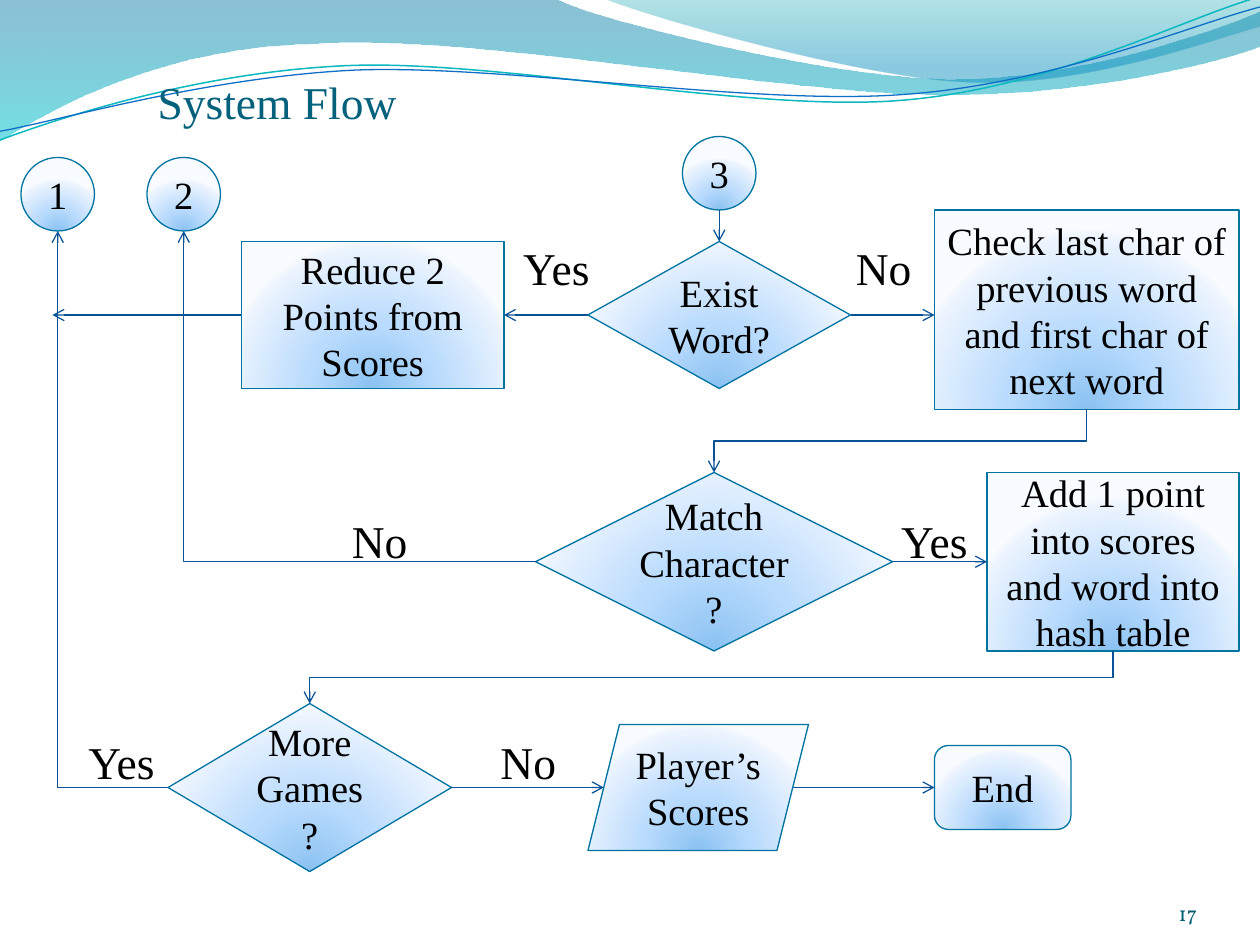
from lxml import etree
from pptx import Presentation
from pptx.dml.color import RGBColor
from pptx.enum.shapes import MSO_CONNECTOR as Connector, MSO_SHAPE as Shape
from pptx.enum.text import MSO_ANCHOR as Anchor, MSO_AUTO_SIZE as AutoSize, PP_ALIGN as Align
from pptx.oxml import parse_xml
from pptx.oxml.ns import nsdecls, qn
from pptx.util import Pt

BLACK = RGBColor(0x00, 0x00, 0x00)
TITLE_TEAL = RGBColor(0x04, 0x61, 0x7B)
NUMBER_TEAL = RGBColor(0x04, 0x5D, 0x75)
BORDER_BLUE = RGBColor(0x00, 0x74, 0xA1)
ARROW_BLUE = RGBColor(0x09, 0x52, 0x95)
WAVE_CYAN = RGBColor(0x0A, 0xB8, 0xBF)
WAVE_BLUE = RGBColor(0x0F, 0x6F, 0xC6)
SERIF = "Times New Roman"

# Gradient stops: position %, colour, opacity %
NODE_STOPS = [(0, RGBColor(0x8B, 0xC2, 0xF1), 100), (43, RGBColor(0xB9, 0xDB, 0xFD), 100),
              (93, RGBColor(0xEA, 0xF3, 0xFE), 100), (100, RGBColor(0xF8, 0xFB, 0xFF), 100)]
LEFT_STOPS = [(0, BORDER_BLUE, 45), (100, RGBColor(0x00, 0xC6, 0xCF), 55)]
RIGHT_STOPS = [(0, RGBColor(0x00, 0xA1, 0xA9), 30), (80, RGBColor(0x00, 0x8B, 0xBF), 45)]
DOWNWARD = '<a:lin ang="5400000" scaled="1"/>'
GLOW_FROM_BELOW = ('<a:path path="circle">'
                   '<a:fillToRect l="50000" t="130000" r="50000" b="-30000"/></a:path>')

# Outlines: a pair is a straight step, six numbers are a cubic curve
BANDS = [
    (LEFT_STOPS, [(0, 0), (317, -1), (343, 12, 478, 45, 546, 45), (614, 45, 690, 19, 720, 6.5),
                  (721, 26), (708, 32, 626, 55, 537, 54), (448, 54, 275, 20, 185, 24.5),
                  (93, 26, 33, 60, -1, 81)]),
    (RIGHT_STOPS, [(345, -1), (366, 8, 491, 45, 554, 47), (618, 50, 692, 23, 720, 15), (720, 0)]),
]
STRANDS = [
    (WAVE_CYAN, 0.85, [(0, 80), (35, 67, 114, 41, 199, 37.5), (284, 34, 427, 64, 513, 57.5),
                       (600, 51, 675, 11, 718.5, -1.5)]),
    (WAVE_BLUE, 0.75, [(0, 75), (34, 69, 118, 44, 204, 40), (290, 37, 430, 60.5, 516, 54),
                       (602, 48, 678, 15, 720, 4)]),
]

# Title lines: text, colour, space before, tab stops
TITLE_LINES = [
    ("\tSystem Flow", TITLE_TEAL, 0, (72,)),
    ("\tYes\tNo", BLACK, 64, (281, 471)),
    ("\tNo\tYes", BLACK, 125, (183, 497)),
    ("\tYes\tNo", BLACK, 95, (32.5, 268)),
]

# Flow steps: preset, text, (left, top, width, height)
STEPS = {
    "reduce": (Shape.RECTANGLE, "Reduce 2 Points from Scores", (138, 138, 150, 84)),
    "exist": (Shape.FLOWCHART_DECISION, "Exist Word?", (336, 138, 150, 84)),
    "check": (Shape.RECTANGLE, "Check last char of previous word and first char of next word",
              (534, 120, 174, 114)),
    "match": (Shape.FLOWCHART_DECISION, "Match Character?", (306, 270, 204, 102)),
    "add": (Shape.RECTANGLE, "Add 1 point into scores and word into hash table",
            (564, 270, 144, 102)),
    "more": (Shape.FLOWCHART_DECISION, "More Games?", (96, 402, 162, 96)),
    "scores": (Shape.PARALLELOGRAM, "Player’s Scores", (336, 414, 126, 72)),
    "end": (Shape.ROUNDED_RECTANGLE, "End", (534, 426, 78, 48)),
    "three": (Shape.FLOWCHART_CONNECTOR, "3", (390, 78, 42, 42)),
    "two": (Shape.FLOWCHART_CONNECTOR, "2", (84, 90, 42, 42)),
    "one": (Shape.FLOWCHART_CONNECTOR, "1", (12, 90, 42, 42)),
}
SLANT = 9  # how far the parallelogram's side midpoints sit inside its box

LEVEL_ARROWS = [("exist", "right", "check", "left"), ("match", "right", "add", "left"),
                ("more", "right", "scores", "left"), ("scores", "right", "end", "left"),
                ("exist", "left", "reduce", "right")]
STEPPED_ARROWS = [("check", "match"), ("add", "more")]
RETURN_ARROWS = [("match", "two"), ("more", "one")]
RETURN_LINE_X = 30


def write_text(shape, text, size=22, font=SERIF, color=BLACK, align=Align.CENTER,
               anchor=Anchor.MIDDLE, margins=None):
    frame = shape.text_frame
    frame.text = text
    frame.word_wrap = True
    frame.auto_size = AutoSize.NONE
    frame.vertical_anchor = anchor
    if margins is not None:
        frame.margin_left = frame.margin_right = Pt(margins)
        frame.margin_top = frame.margin_bottom = Pt(margins)
    for paragraph in frame.paragraphs:
        paragraph.alignment = align
        style = paragraph.runs[0].font
        style.size, style.name, style.color.rgb = Pt(size), font, color


def fill_gradient(shape, stops, direction):
    shape.fill.solid()
    solid = shape.element.spPr.find(qn("a:solidFill"))
    stop_xml = "".join(
        f'<a:gs pos="{pos * 1000}"><a:srgbClr val="{color}">'
        f'<a:alpha val="{opacity * 1000}"/></a:srgbClr></a:gs>' for pos, color, opacity in stops)
    solid.getparent().replace(solid, parse_xml(
        f'<a:gradFill {nsdecls("a")} rotWithShape="1"><a:gsLst>{stop_xml}</a:gsLst>'
        f'{direction}</a:gradFill>'))


def add_wave(shapes, outline, close):
    """Draw the outline through its anchor points, then bend its curved steps."""
    anchors = [(Pt(step[-2]), Pt(step[-1])) for step in outline]
    builder = shapes.build_freeform(*anchors[0])
    builder.add_line_segments(anchors[1:], close=close)
    wave = builder.convert_to_shape()
    wave.shadow.inherit = False
    lines = list(wave.element.spPr.iter(qn("a:lnTo")))
    for line, step in zip(lines, outline[1:]):
        if len(step) == 6:
            curve = etree.Element(qn("a:cubicBezTo"))
            for x, y in zip(step[::2], step[1::2]):
                etree.SubElement(curve, qn("a:pt"), x=str(Pt(x) - wave.left),
                                 y=str(Pt(y) - wave.top))
            line.getparent().replace(line, curve)
    return wave


def write_title(title):
    """Heading and branch labels, placed by tab stops and paragraph spacing."""
    title.left, title.top, title.width, title.height = Pt(18), Pt(0), Pt(702), Pt(540)
    write_text(title, "\n".join(line[0] for line in TITLE_LINES), size=26,
               align=Align.LEFT, anchor=Anchor.TOP, margins=0)
    title.text_frame.margin_top = Pt(42)
    for paragraph, (_, color, space, stops) in zip(title.text_frame.paragraphs, TITLE_LINES):
        paragraph.runs[0].font.color.rgb = color
        paragraph.space_before = Pt(space)
        tabs = etree.SubElement(paragraph._p.get_or_add_pPr(), qn("a:tabLst"))
        for stop in stops:
            etree.SubElement(tabs, qn("a:tab"), pos=str(Pt(stop)), algn="l")


def side_point(step, side):
    preset, _, (left, top, width, height) = STEPS[step]
    inset = SLANT if preset == Shape.PARALLELOGRAM else 0
    return {"top": (left + width / 2, top),
            "bottom": (left + width / 2, top + height),
            "left": (left + inset, top + height / 2),
            "right": (left + width - inset, top + height / 2)}[side]


def add_arrow(shapes, start, end, kind=Connector.STRAIGHT):
    arrow = shapes.add_connector(kind, *(Pt(v) for v in (*start, *end)))
    arrow.line.color.rgb = ARROW_BLUE
    arrow.line.width = Pt(0.75)
    etree.SubElement(arrow.line._get_or_add_ln(), qn("a:tailEnd"), type="arrow")
    etree.SubElement(arrow.element.spPr, qn("a:effectLst"))
    return arrow


def add_stepped_arrow(shapes, start, end):
    """Arrow that goes down, left and down again: an elbow turned by 90 degrees."""
    (x1, y1), (x2, y2) = start, end
    mid_x, mid_y, drop, run = (x1 + x2) / 2, (y1 + y2) / 2, y2 - y1, x1 - x2
    corner = (mid_x - drop / 2, mid_y - run / 2)
    arrow = add_arrow(shapes, corner, (corner[0] + drop, corner[1] + run), Connector.ELBOW)
    arrow.element.spPr.find(qn("a:xfrm")).set("rot", "5400000")


def add_return_arrow(shapes, start, end):
    """Arrow that goes left and then up: a single bend turned by 180 degrees."""
    arrow = add_arrow(shapes, end, start, Connector.ELBOW)
    arrow.element.spPr.find(qn("a:xfrm")).set("rot", "10800000")
    arrow.element.spPr.find(qn("a:prstGeom")).set("prst", "bentConnector2")


def main():
    deck = Presentation()
    deck.slide_width, deck.slide_height = Pt(720), Pt(540)
    slide = deck.slides.add_slide(deck.slide_layouts[5])
    shapes = slide.shapes

    for stops, outline in BANDS:
        band = add_wave(shapes, outline, close=True)
        fill_gradient(band, stops, DOWNWARD)
        band.line.fill.background()
    for color, width, outline in STRANDS:
        strand = add_wave(shapes, outline, close=False)
        strand.fill.background()
        strand.line.color.rgb, strand.line.width = color, Pt(width)

    write_title(shapes.title)
    shapes.element.append(shapes.title.element)  # in front of the waves
    number = shapes.add_textbox(Pt(624), Pt(500), Pt(60), Pt(29))
    write_text(number, "17", size=12, font="Vollkorn", color=NUMBER_TEAL,
               align=Align.RIGHT, anchor=Anchor.BOTTOM, margins=0)

    for preset, text, box in STEPS.values():
        node = shapes.add_shape(preset, *(Pt(v) for v in box))
        node.shadow.inherit = False
        fill_gradient(node, NODE_STOPS, GLOW_FROM_BELOW)
        node.line.color.rgb, node.line.width = BORDER_BLUE, Pt(0.75)
        write_text(node, text)

    add_arrow(shapes, side_point("three", "bottom"), side_point("exist", "top"))
    for source, source_side, target, target_side in LEVEL_ARROWS:
        start = side_point(source, source_side)
        add_arrow(shapes, start, (side_point(target, target_side)[0], start[1]))
    for source, target in STEPPED_ARROWS:
        add_stepped_arrow(shapes, side_point(source, "bottom"), side_point(target, "top"))
    for source, target in RETURN_ARROWS:
        add_return_arrow(shapes, side_point(source, "left"), side_point(target, "bottom"))
    reduce_exit = side_point("reduce", "left")
    add_arrow(shapes, reduce_exit, (RETURN_LINE_X, reduce_exit[1]))
    deck.save("out.pptx")


if __name__ == "__main__":
    main()
